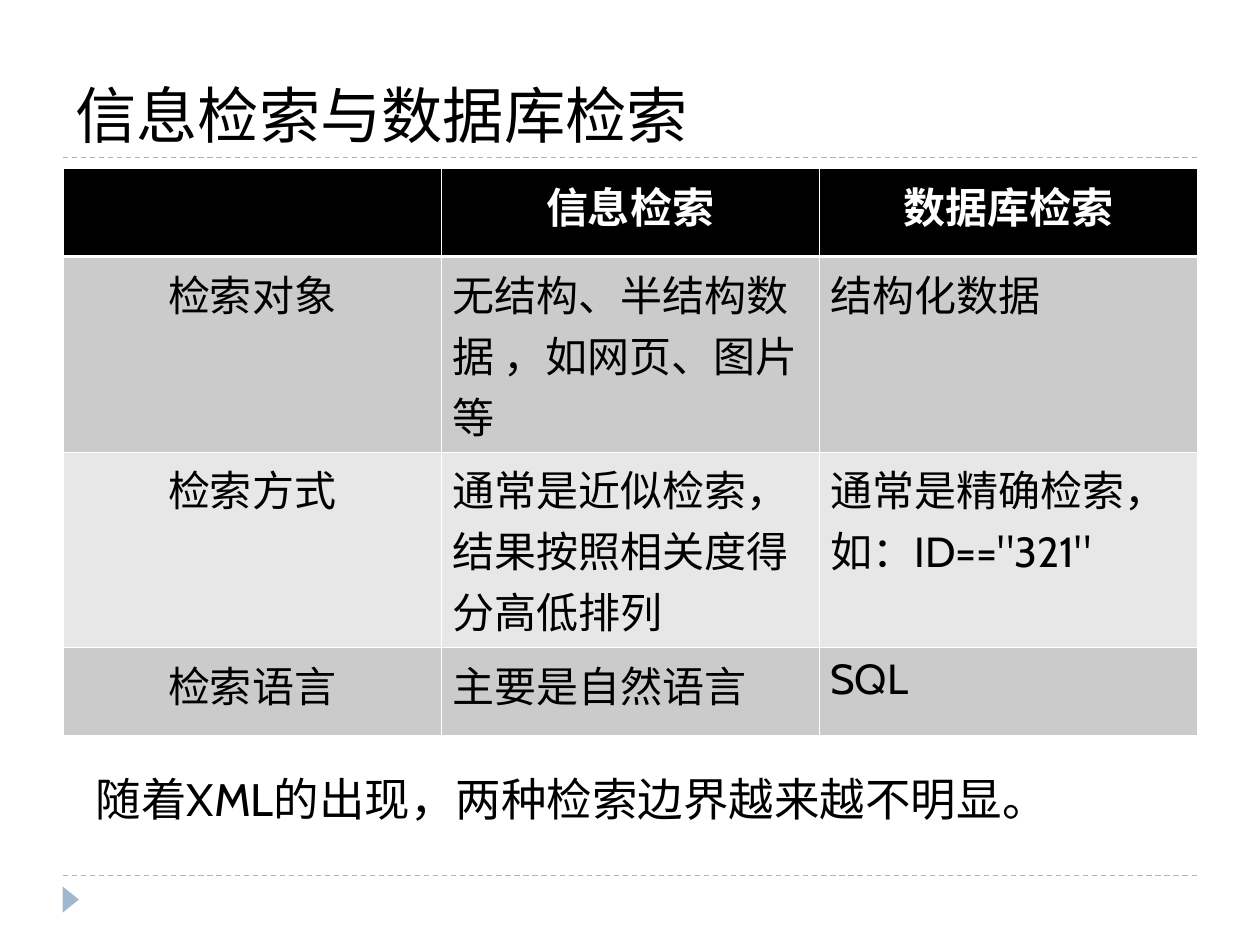
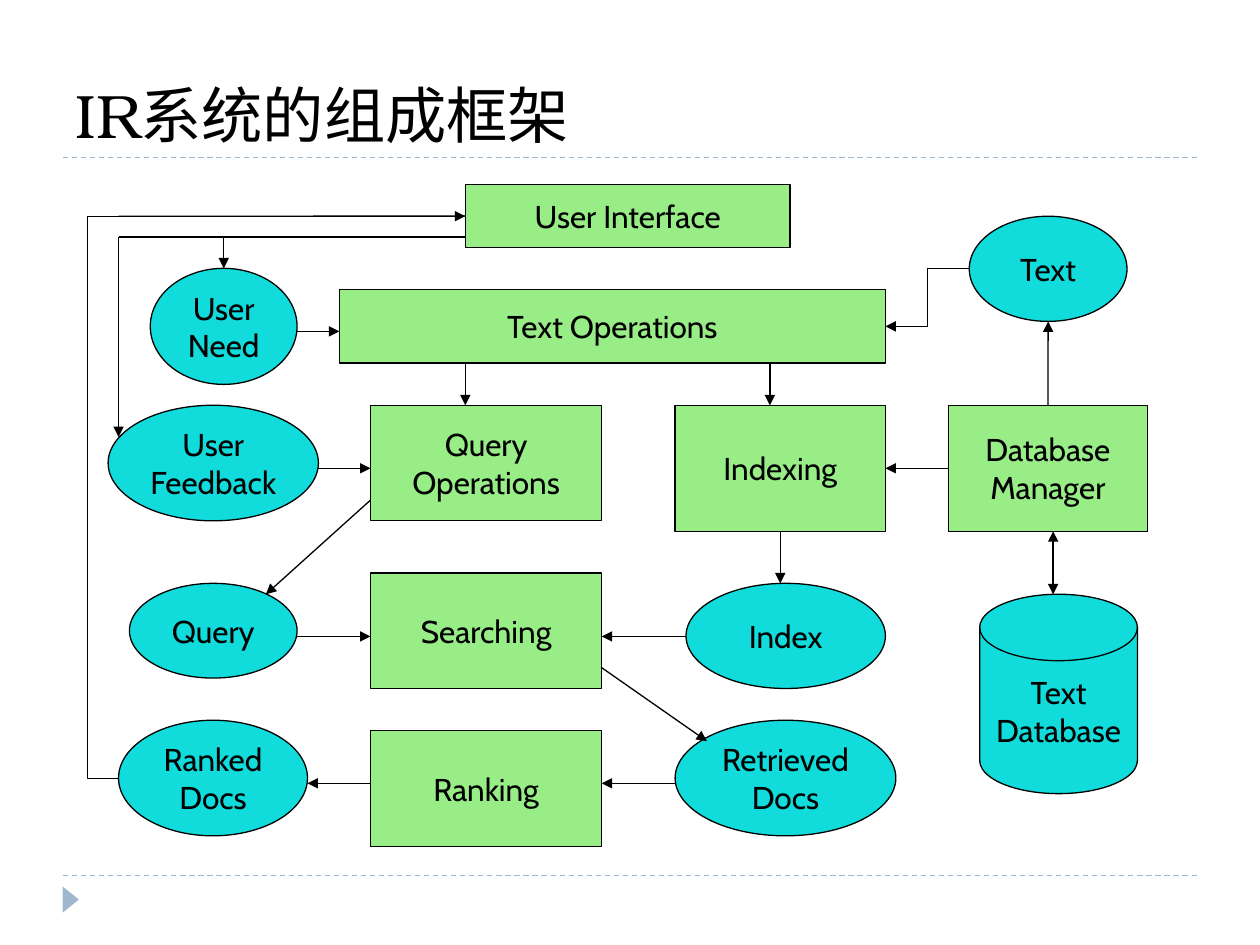
from lxml import etree
from pptx import Presentation
from pptx import util as u
from pptx.dml.color import RGBColor
from pptx.enum import dml, shapes, text
from pptx.oxml import ns

Cm, Pt = u.Cm, u.Pt
Shape, Align, Anchor = shapes.MSO_SHAPE, text.PP_ALIGN, text.MSO_ANCHOR

# Shared look
BLACK = RGBColor(0x00, 0x00, 0x00)
WHITE = RGBColor(0xFF, 0xFF, 0xFF)
RULE_BLUE = RGBColor(0x9F, 0xB8, 0xCD)
ROW_DARK = RGBColor(0xCB, 0xCB, 0xCB)
ROW_LIGHT = RGBColor(0xE7, 0xE7, 0xE7)
PROCESS_GREEN = RGBColor(0x98, 0xED, 0x87)
DATA_CYAN = RGBColor(0x11, 0xDB, 0xDB)
BODY_FONT = "Cabin"
TITLE_FONT = "TeX Gyre Bonum"
LEFT, WIDTH = 1.27, 22.86
TOP, LEFT_SIDE, BOTTOM, RIGHT_SIDE = range(4)

# Comparison table
COMPARISON = [
    ["", "信息检索", "数据库检索"],
    ["检索对象", "无结构、半结构数据 ，如网页、图片等", "结构化数据"],
    ["检索方式", "通常是近似检索，结果按照相关度得分高低排列", '通常是精确检索，如：ID=="321"'],
    ["检索语言", "主要是自然语言", "SQL"],
]
ROW_HEIGHTS = [1.78, 3.94, 3.94, 1.78]

# Diagram nodes: label, left, top, width, height
PROCESSES = [
    ("User Interface", 9.38, 3.72, 6.55, 1.27),
    ("Text Operations", 6.84, 5.84, 11.01, 1.48),
    ("Query\nOperations", 7.47, 8.17, 4.66, 2.33),
    ("Searching", 7.47, 11.55, 4.66, 2.33),
    ("Ranking", 7.47, 14.73, 4.66, 2.33),
    ("Indexing", 13.61, 8.17, 4.24, 2.54),
    ("Database\nManager", 19.12, 8.17, 4.01, 2.54),
]
DATA_ITEMS = [
    ("User\nNeed", 3.03, 5.41, 2.96, 2.34),
    ("User\nFeedback", 2.18, 8.17, 4.24, 2.33),
    ("Query", 2.61, 11.76, 3.38, 1.91),
    ("Ranked\nDocs", 2.39, 14.52, 3.81, 2.33),
    ("Index", 13.83, 11.76, 4.02, 2.12),
    ("Retrieved\nDocs", 13.61, 14.52, 4.45, 2.33),
    ("Text", 19.54, 4.36, 3.18, 2.12),
]
TEXT_DATABASE = ("Text\nDatabase", 19.75, 11.98, 3.18, 4.02)

# Straight arrows that touch the nodes away from the side middles
ARROWS = [
    ((5.99, 6.68), (6.84, 6.68)),      # user need to text operations
    ((9.38, 7.32), (9.38, 8.17)),      # text operations to query operations
    ((15.52, 7.32), (15.52, 8.17)),    # text operations to indexing
    ((6.42, 9.44), (7.47, 9.44)),      # feedback to query operations
    ((7.47, 10.08), (5.36, 11.98)),    # query operations to query
    ((5.99, 12.83), (7.47, 12.83)),    # query to searching
    ((13.83, 12.83), (12.13, 12.83)),  # index to searching
    ((12.13, 13.46), (14.25, 14.94)),  # searching to retrieved docs
    ((13.61, 15.79), (12.13, 15.79)),  # retrieved docs to ranking
    ((7.47, 15.79), (6.2, 15.79)),     # ranking to ranked docs
    ((4.51, 4.78), (4.51, 5.41)),      # interface to user need
    ((2.39, 4.78), (2.39, 8.81)),      # interface to user feedback
]


def write_text(frame, content, size=18, font=BODY_FONT, color=BLACK, bold=False,
               align=Align.LEFT, anchor=Anchor.TOP, wrap=True):
    frame.text = content
    frame.word_wrap = wrap
    frame.vertical_anchor = anchor
    for paragraph in frame.paragraphs:
        paragraph.alignment = align
        for run in paragraph.runs:
            run.font.size = Pt(size)
            run.font.name = font
            run.font.bold = bold
            run.font.color.rgb = color


def add_text(slide, content, left, top, width, height, **text_format):
    box = slide.shapes.add_textbox(Cm(left), Cm(top), Cm(width), Cm(height))
    write_text(box.text_frame, content, **text_format)


def add_figure(slide, kind, left, top, width, height, fill, line=None):
    shape = slide.shapes.add_shape(kind, Cm(left), Cm(top), Cm(width), Cm(height))
    shape.shadow.inherit = False
    shape.fill.solid()
    shape.fill.fore_color.rgb = fill
    if line is None:
        shape.line.fill.background()
    else:
        shape.line.color.rgb = line
        shape.line.width = Pt(0.75)
    return shape


def add_node(slide, kind, fill, label, *place):
    node = add_figure(slide, kind, *place, fill, line=BLACK)
    write_text(node.text_frame, label, align=Align.CENTER, anchor=Anchor.MIDDLE, wrap=False)
    return node


def add_line(slide, start, end, color=BLACK, heads=(), bend=None, dashed=False):
    """Draw a connector; an end is a point in cm or a (shape, side) pair.

    A bend gives the place of an elbow's middle part, as a share of the width.
    """
    kind = shapes.MSO_CONNECTOR.STRAIGHT if bend is None else shapes.MSO_CONNECTOR.ELBOW
    is_point = [isinstance(place[0], (int, float)) for place in (start, end)]
    points = [place if plain else (0, 0) for place, plain in zip((start, end), is_point)]
    connector = slide.shapes.add_connector(kind, *(Cm(value) for point in points for value in point))
    if not is_point[0]:
        connector.begin_connect(*start)
    if not is_point[1]:
        connector.end_connect(*end)
    connector.line.color.rgb = color
    connector.line.width = Pt(0.75)
    if dashed:
        connector.line.dash_style = dml.MSO_LINE.DASH
    properties = connector._element.spPr
    outline = properties.find(ns.qn("a:ln"))
    for head in heads:
        etree.SubElement(outline, ns.qn(f"a:{head}"), type="triangle")
    if bend is not None:
        geometry = properties.find(ns.qn("a:prstGeom"))
        guides = geometry.find(ns.qn("a:avLst"))
        if guides is None:
            guides = etree.SubElement(geometry, ns.qn("a:avLst"))
        etree.SubElement(guides, ns.qn("a:gd"), name="adj1", fmla=f"val {round(bend * 100000)}")
    etree.SubElement(properties, ns.qn("a:effectLst"))


def add_arrow(slide, start, end, heads=("tailEnd",), **options):
    add_line(slide, start, end, heads=heads, **options)


def set_borders(cell, **widths):
    properties = cell._tc.get_or_add_tcPr()
    for side in "LRTB":
        border = etree.SubElement(properties, ns.qn(f"a:ln{side}"), w=str(Pt(widths.get(side, 0.45))))
        fill = etree.SubElement(border, ns.qn("a:solidFill"))
        etree.SubElement(fill, ns.qn("a:srgbClr"), val=str(WHITE))


def add_comparison_table(slide):
    frame = slide.shapes.add_table(len(COMPARISON), len(COMPARISON[0]), Cm(LEFT), Cm(3.39),
                                   Cm(WIDTH), Cm(sum(ROW_HEIGHTS)))
    table = frame.table
    for row, height in zip(table.rows, ROW_HEIGHTS):
        row.height = Cm(height)
    for row_index, labels in enumerate(COMPARISON):
        header = row_index == 0
        row_fill = BLACK if header else (ROW_LIGHT, ROW_DARK)[row_index % 2]
        thick = {0: {"B": 1.47}, 1: {"T": 1.47}}.get(row_index, {})
        for column_index, label in enumerate(labels):
            cell = table.cell(row_index, column_index)
            set_borders(cell, **thick)
            cell.fill.solid()
            cell.fill.fore_color.rgb = row_fill
            cell.margin_left = cell.margin_right = Cm(0.23)
            centred = header or column_index == 0
            write_text(cell.text_frame, label, size=24, bold=header,
                       color=WHITE if header else BLACK,
                       align=Align.CENTER if centred else Align.LEFT)


def add_titled_slide(presentation, title):
    slide = presentation.slides.add_slide(presentation.slide_layouts[6])
    for height in (17.65, 3.18):
        add_line(slide, (LEFT, height), (LEFT + WIDTH, height), color=RULE_BLUE, dashed=True)
    marker = add_figure(slide, Shape.ISOSCELES_TRIANGLE, 1.16, 17.97, 0.53, 0.33, RULE_BLUE)
    marker.rotation = 90
    add_text(slide, title, LEFT, 0.43, WIDTH, 2.74, size=35, font=TITLE_FONT, anchor=Anchor.BOTTOM)
    return slide


def add_framework_diagram(slide):
    # Nodes
    process = {item[0]: add_node(slide, Shape.RECTANGLE, PROCESS_GREEN, *item) for item in PROCESSES}
    for item in DATA_ITEMS:
        add_node(slide, Shape.OVAL, DATA_CYAN, *item)
    add_node(slide, Shape.FLOWCHART_MAGNETIC_DISK, DATA_CYAN, *TEXT_DATABASE)

    # Arrows at the middle of a side
    interface, indexing = process["User Interface"], process["Indexing"]
    manager = process["Database\nManager"]
    add_arrow(slide, (manager, TOP), (21.13, 6.48))
    add_arrow(slide, (manager, LEFT_SIDE), (indexing, RIGHT_SIDE))
    add_arrow(slide, (indexing, BOTTOM), (15.73, 11.76))

    # Other arrows
    for start, end in ARROWS:
        add_arrow(slide, start, end)
    add_arrow(slide, (21.23, 10.71), (21.23, 11.98), heads=("headEnd", "tailEnd"))

    # Paths to and from the interface, and from text to its operations
    add_line(slide, (9.38, 4.78), (2.39, 4.78))
    add_line(slide, (interface, LEFT_SIDE), (2.39, 4.36))
    add_arrow(slide, (2.39, 15.69), (9.38, 4.36), bend=-0.09)
    add_arrow(slide, (19.54, 5.41), (17.85, 6.58), bend=0.5)


def main():
    presentation = Presentation()
    presentation.slide_width, presentation.slide_height = Cm(25.4), Cm(19.05)

    # Retrieval compared with databases
    slide = add_titled_slide(presentation, "信息检索与数据库检索")
    add_comparison_table(slide)
    add_text(slide, "随着XML的出现，两种检索边界越来越不明显。", 1.68, 15.3, 23.42, 1.6,
             size=26, anchor=Anchor.MIDDLE)

    # Parts of a retrieval system
    slide = add_titled_slide(presentation, "IR系统的组成框架")
    add_framework_diagram(slide)

    presentation.save("out.pptx")


if __name__ == "__main__":
    main()
